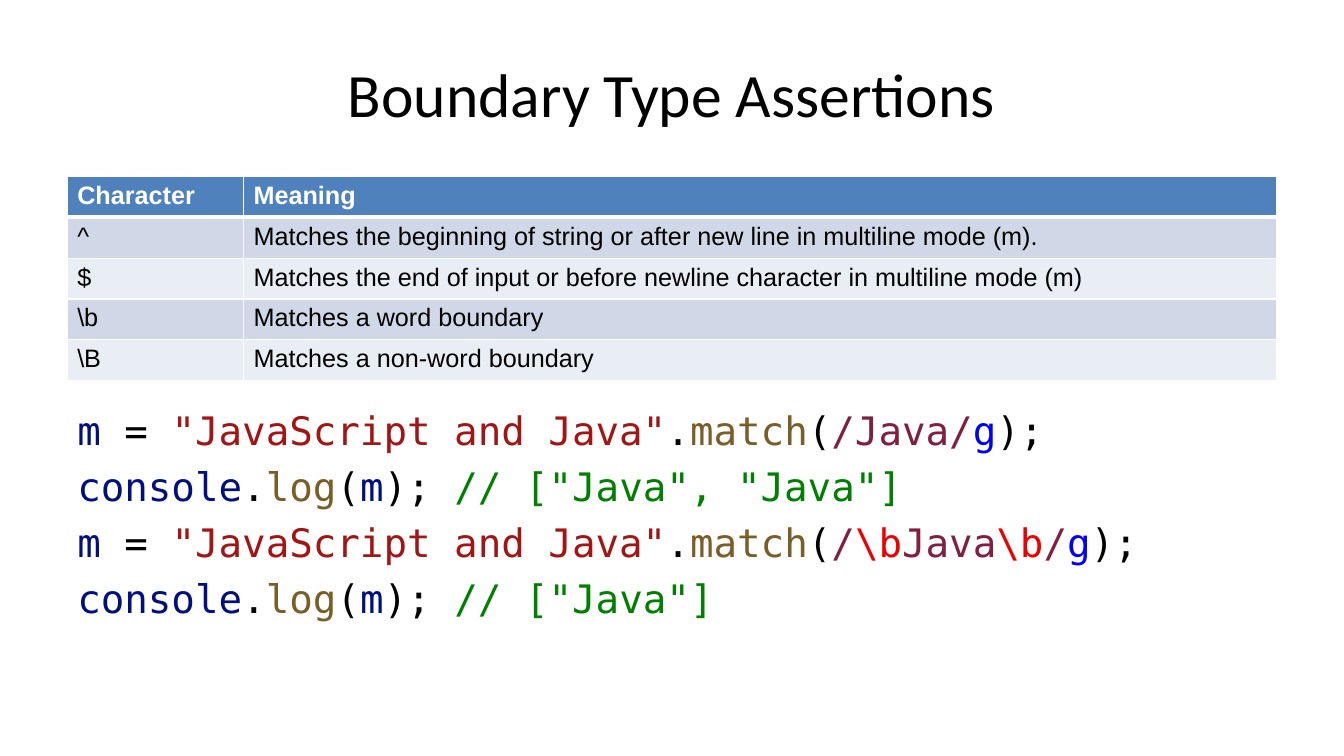
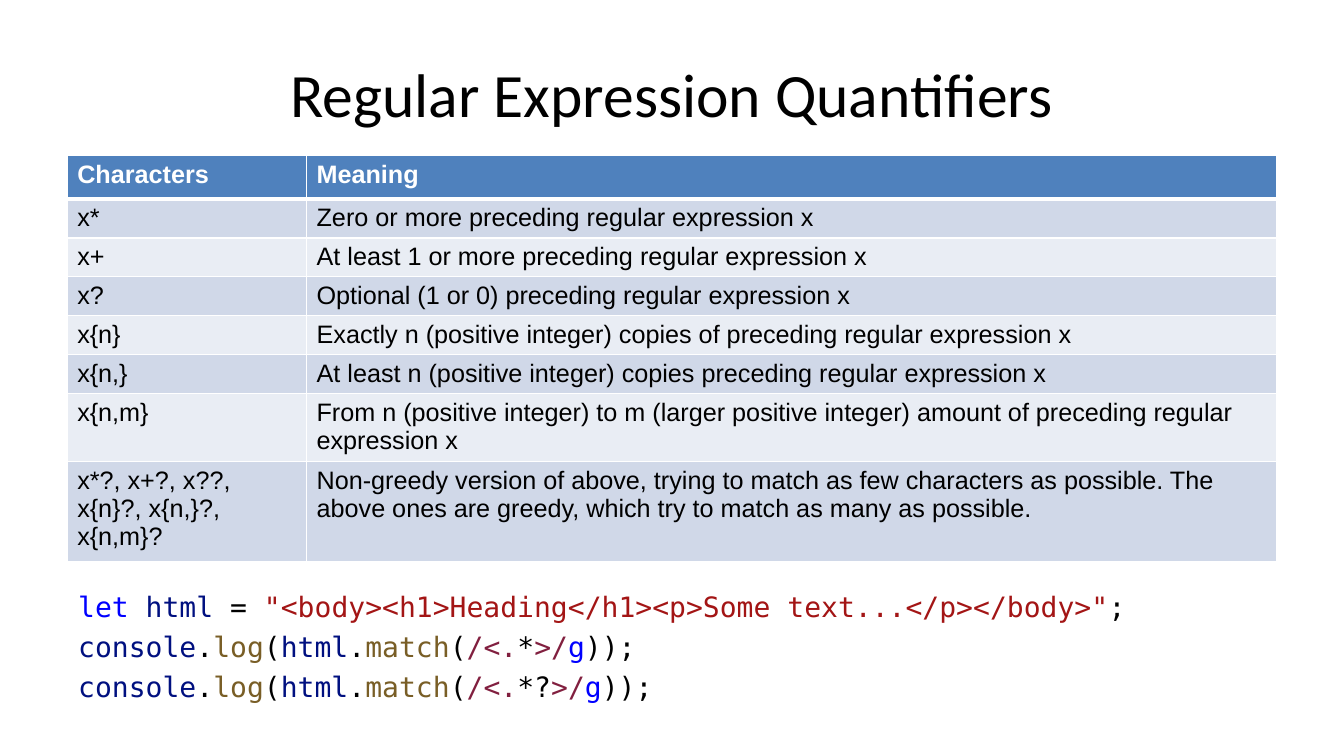
from dataclasses import dataclass, field
from typing import NamedTuple

from lxml import etree
from pptx import Presentation
from pptx import util as u
from pptx.dml.color import RGBColor
from pptx.enum import text
from pptx.oxml import ns

COLUMNS, ROWS = 160, 90  # slide grid of square cells
CELL = u.Inches(7.5 / ROWS)


@dataclass(frozen=True)
class Theme:
    title_font: str = "Calibri"
    table_font: str = "Arial"
    code_font: str = "DejaVu Sans Mono"
    title_size: float = 44
    table_size: float = 18
    ink: str = "000000"
    paper: str = "FFFFFF"
    header: str = "4F81BD"
    bands: tuple[str, str] = ("D0D8E8", "E9EDF4")
    thin: float = 1
    thick: float = 3
    line_gap: float = 0.23  # share of the code size
    code: dict[str, str] = field(default_factory=lambda: {
        "plain": "000000", "name": "001080", "string": "A31515",
        "call": "795E26", "regex": "811F3F", "keyword": "0000FF",
        "escape": "EE0000", "comment": "008000"})


THEME = Theme()


class Area(NamedTuple):
    left: float
    top: float
    width: float
    height: float


class Token(NamedTuple):
    words: str
    kind: str = "plain"


CodeLine = list[Token]


@dataclass(frozen=True)
class Lesson:
    title: str
    table_top: float
    key_width: float
    row_heights: list[float]
    cells: list[tuple[str, str]]
    code_area: Area
    code_size: float
    code: list[CodeLine]


MARGIN = 8
CONTENT_WIDTH = COLUMNS - 2 * MARGIN
TITLE_AREA = Area(MARGIN, 3.6, CONTENT_WIDTH, 15)


# Code fragments that recur in the examples
def match_call(*pattern: Token) -> CodeLine:
    return [Token("."), Token("match", "call"), Token("("), *pattern,
            Token("g", "keyword")]


def log_call(*argument: Token) -> CodeLine:
    return [Token("console", "name"), Token("."), Token("log", "call"),
            Token("("), *argument]


def assign_match(*pattern: Token) -> CodeLine:
    return [Token("m", "name"), Token(" = "),
            Token('"JavaScript and Java"', "string"),
            *match_call(*pattern), Token(");")]


def log_result(result: str) -> CodeLine:
    return log_call(Token("m", "name"), Token("); "),
                    Token(f"// {result}", "comment"))


def log_tags(quantifier: str) -> CodeLine:
    pattern = (Token("/<.", "regex"), Token(quantifier), Token(">/", "regex"))
    return log_call(Token("html", "name"), *match_call(*pattern), Token("));"))


BOUNDARY = Token("\\b", "escape")
SLASH = Token("/", "regex")

LESSONS = [
    Lesson(
        title="Boundary Type Assertions",
        table_top=21, key_width=21, row_heights=[4.87] * 5,
        cells=[
            ("Character", "Meaning"),
            ("^", "Matches the beginning of string or after new line in multiline mode (m)."),
            ("$", "Matches the end of input or before newline character in multiline mode (m)"),
            ("\\b", "Matches a word boundary"),
            ("\\B", "Matches a non-word boundary"),
        ],
        code_area=Area(MARGIN, 47.8, CONTENT_WIDTH, 32.6), code_size=28,
        code=[
            assign_match(Token("/Java/", "regex")),
            log_result('["Java", "Java"]'),
            assign_match(SLASH, BOUNDARY, Token("Java", "regex"), BOUNDARY, SLASH),
            log_result('["Java"]'),
        ]),
    Lesson(
        title="Regular Expression Quantifiers",
        table_top=18.5, key_width=28.5,
        row_heights=[5.2, *[4.63] * 5, 8.1, 11.9],
        cells=[
            ("Characters", "Meaning"),
            ("x*", "Zero or more preceding regular expression x"),
            ("x+", "At least 1 or more preceding regular expression x"),
            ("x?", "Optional (1 or 0) preceding regular expression x"),
            ("x{n}", "Exactly n (positive integer) copies of preceding regular expression x"),
            ("x{n,}", "At least n (positive integer) copies preceding regular expression x"),
            ("x{n,m}", "From n (positive integer) to m (larger positive integer) amount of "
                       "preceding regular expression x"),
            ("x*?, x+?, x??, x{n}?, x{n,}?, x{n,m}?",
             "Non-greedy version of above, trying to match as few characters as possible. "
             "The above ones are greedy, which try to match as many as possible."),
        ],
        code_area=Area(MARGIN + 0.1, 69.6, CONTENT_WIDTH, 16.1), code_size=20,
        code=[
            [Token("let ", "keyword"), Token("html", "name"), Token(" = "),
             Token('"<body><h1>Heading</h1><p>Some text...</p></body>"', "string"),
             Token(";")],
            log_tags("*"),
            log_tags("*?"),
        ]),
]


def grid(cells: float) -> u.Emu:
    return u.Emu(round(cells * CELL))


def place(shape, area: Area) -> None:
    for name, cells in area._asdict().items():
        setattr(shape, name, grid(cells))


def style_font(font, name: str, size: float, color: str, bold: bool = False) -> None:
    for key, value in {"name": name, "size": u.Pt(size), "bold": bold}.items():
        setattr(font, key, value)
    font.color.rgb = RGBColor.from_string(color)


def format_frame(frame, anchor: text.MSO_ANCHOR) -> None:
    settings = {"word_wrap": True, "auto_size": text.MSO_AUTO_SIZE.NONE,
                "vertical_anchor": anchor}
    for key, value in settings.items():
        setattr(frame, key, value)


def draw_title(slide, words: str) -> None:
    title = slide.shapes.title
    place(title, TITLE_AREA)
    format_frame(title.text_frame, text.MSO_ANCHOR.MIDDLE)
    title.text_frame.text = words
    para = title.text_frame.paragraphs[0]
    para.alignment = text.PP_ALIGN.CENTER
    style_font(para.runs[0].font, THEME.title_font, THEME.title_size, THEME.ink)


def set_borders(cell, top: float, bottom: float) -> None:
    properties = cell._tc.get_or_add_tcPr()
    widths = {"L": THEME.thin, "R": THEME.thin, "T": top, "B": bottom}
    for side, width in widths.items():
        line = etree.SubElement(properties, ns.qn(f"a:ln{side}"), w=str(u.Pt(width)))
        fill = etree.SubElement(line, ns.qn("a:solidFill"))
        etree.SubElement(fill, ns.qn("a:srgbClr"), val=THEME.paper)


def draw_table(slide, lesson: Lesson) -> None:
    area = Area(MARGIN, lesson.table_top, CONTENT_WIDTH, sum(lesson.row_heights))
    table = slide.shapes.add_table(len(lesson.cells), 2, *map(grid, area)).table
    for column, width in zip(table.columns,
                             (lesson.key_width, CONTENT_WIDTH - lesson.key_width)):
        column.width = grid(width)
    for index, (row, height) in enumerate(zip(table.rows, lesson.row_heights)):
        row.height = grid(height)
        is_header = index == 0
        fill = THEME.header if is_header else THEME.bands[(index - 1) % 2]
        for cell, words in zip(row.cells, lesson.cells[index]):
            set_borders(cell, THEME.thick if index == 1 else THEME.thin,
                        THEME.thick if is_header else THEME.thin)
            cell.fill.solid()
            cell.fill.fore_color.rgb = RGBColor.from_string(fill)
            cell.text = words
            style_font(cell.text_frame.paragraphs[0].runs[0].font,
                       THEME.table_font, THEME.table_size,
                       THEME.paper if is_header else THEME.ink, is_header)


def draw_code(slide, lesson: Lesson) -> None:
    box = slide.placeholders[1]
    place(box, lesson.code_area)
    frame = box.text_frame
    format_frame(frame, text.MSO_ANCHOR.TOP)
    for index, tokens in enumerate(lesson.code):
        para = frame.add_paragraph() if index else frame.paragraphs[0]
        properties = para._p.get_or_add_pPr()
        for key in ("marL", "indent"):
            properties.set(key, "0")
        etree.SubElement(properties, ns.qn("a:buNone"))
        para.space_before = u.Pt(round(lesson.code_size * THEME.line_gap, 1) if index else 0)
        for token in tokens:
            span = para.add_run()
            span.text = token.words
            style_font(span.font, THEME.code_font, lesson.code_size,
                       THEME.code[token.kind])


def main() -> None:
    deck = Presentation()
    deck.slide_width, deck.slide_height = grid(COLUMNS), grid(ROWS)
    for lesson in LESSONS:
        slide = deck.slides.add_slide(deck.slide_layouts[1])
        draw_title(slide, lesson.title)
        draw_table(slide, lesson)
        draw_code(slide, lesson)
    deck.save("out.pptx")


if __name__ == "__main__":
    main()
